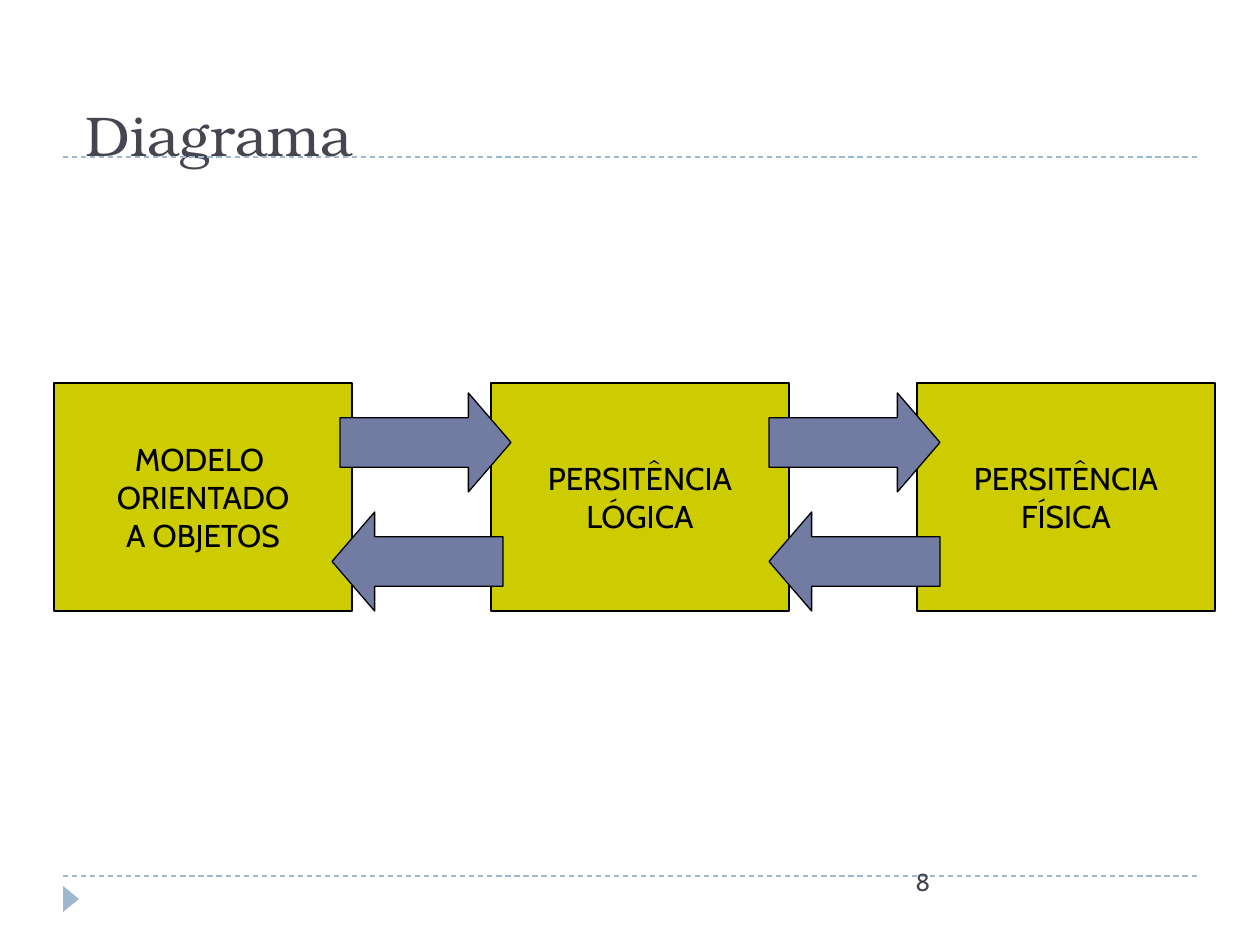
from dataclasses import dataclass

from lxml.etree import SubElement
from pptx import Presentation
from pptx.dml.color import RGBColor as Rgb
from pptx.enum.dml import MSO_LINE_DASH_STYLE as Dash
from pptx.enum.shapes import MSO_CONNECTOR as Connector, MSO_SHAPE as Shape
from pptx.enum.text import MSO_ANCHOR as Anchor, PP_ALIGN as Align
from pptx.oxml.ns import qn
from pptx.util import Emu, Pt

PX = 914400 / 126


@dataclass(frozen=True)
class Theme:
    heading_font: str = "TeX Gyre Bonum"
    body_font: str = "Cabin"
    title_size: int = 32
    box_size: int = 18
    number_size: int = 14
    line_width: float = 0.75
    ink: str = "464653"
    black: str = "000000"
    accent: str = "9FB8CD"
    box_fill: str = "CCCC00"
    arrow_fill: str = "727CA3"


def px(*lengths):
    return [Emu(round(length * PX)) for length in lengths]


class Diagram:
    def __init__(self, page, theme):
        self.page = page
        self.theme = theme

    def add_lines(self, frame, lines, font, size, color, align=Align.LEFT):
        for index, line in enumerate(lines):
            para = frame.add_paragraph() if index else frame.paragraphs[0]
            para.alignment = align
            span = para.add_run()
            span.text = line
            span.font.name = font
            span.font.size = Pt(size)
            span.font.color.rgb = Rgb.from_string(color)

    def title(self, text, left, top, width, height):
        title = self.page.shapes.title
        title.left, title.top, title.width, title.height = px(left, top, width, height)
        title.text_frame.vertical_anchor = Anchor.BOTTOM
        self.add_lines(title.text_frame, [text], self.theme.heading_font,
                       self.theme.title_size, self.theme.ink)

    def rule(self, left, right, y):
        rule = self.page.shapes.add_connector(Connector.STRAIGHT, *px(left, y, right, y))
        rule.line.color.rgb = Rgb.from_string(self.theme.accent)
        rule.line.width = Pt(self.theme.line_width)
        rule.line.dash_style = Dash.DASH
        SubElement(rule._element.spPr, qn("a:effectLst"))

    def shape(self, kind, bounds, fill, outlined=True):
        shape = self.page.shapes.add_shape(kind, *px(*bounds))
        shape.shadow.inherit = False
        shape.fill.solid()
        shape.fill.fore_color.rgb = Rgb.from_string(fill)
        if outlined:
            shape.line.color.rgb = Rgb.from_string(self.theme.black)
            shape.line.width = Pt(self.theme.line_width)
        else:
            shape.line.fill.background()
        return shape

    def marker(self, *bounds):
        marker = self.shape(Shape.ISOSCELES_TRIANGLE, bounds, self.theme.accent, False)
        marker.rotation = 90

    def box(self, lines, *bounds):
        box = self.shape(Shape.RECTANGLE, bounds, self.theme.box_fill)
        box.text_frame.word_wrap = False
        box.text_frame.vertical_anchor = Anchor.MIDDLE
        self.add_lines(box.text_frame, lines, self.theme.body_font,
                       self.theme.box_size, self.theme.black, Align.CENTER)

    def arrow(self, rotation, *bounds):
        arrow = self.shape(Shape.RIGHT_ARROW, bounds, self.theme.arrow_fill)
        arrow.adjustments[1] = 0.43
        arrow.rotation = rotation

    def number(self, text, *bounds):
        box = self.page.shapes.add_textbox(*px(*bounds))
        box.text_frame.word_wrap = True
        self.add_lines(box.text_frame, [text], self.theme.body_font,
                       self.theme.number_size, self.theme.ink)


def main():
    deck = Presentation()
    deck.slide_width, deck.slide_height = px(1260, 945)
    diagram = Diagram(deck.slides.add_slide(deck.slide_layouts[5]), Theme())

    for y in (876, 157):
        diagram.rule(63, 1197, y)
    diagram.marker(58, 891, 26, 16)
    diagram.number("8", 903, 861, 294, 63)
    diagram.title("Diagrama", 73, 16, 1134, 158)

    stages = [
        (54, ["MODELO ", "ORIENTADO", "A OBJETOS"]),
        (491, ["PERSITÊNCIA", "LÓGICA"]),
        (917, ["PERSITÊNCIA", "FÍSICA"]),
    ]
    for left, lines in stages:
        diagram.box(lines, left, 383, 298, 228)

    for rotation, top, lefts in ((0, 393, (340, 769)), (180, 512, (769, 332))):
        for left in lefts:
            diagram.arrow(rotation, left, top, 171, 99)

    deck.save("out.pptx")


if __name__ == "__main__":
    main()
